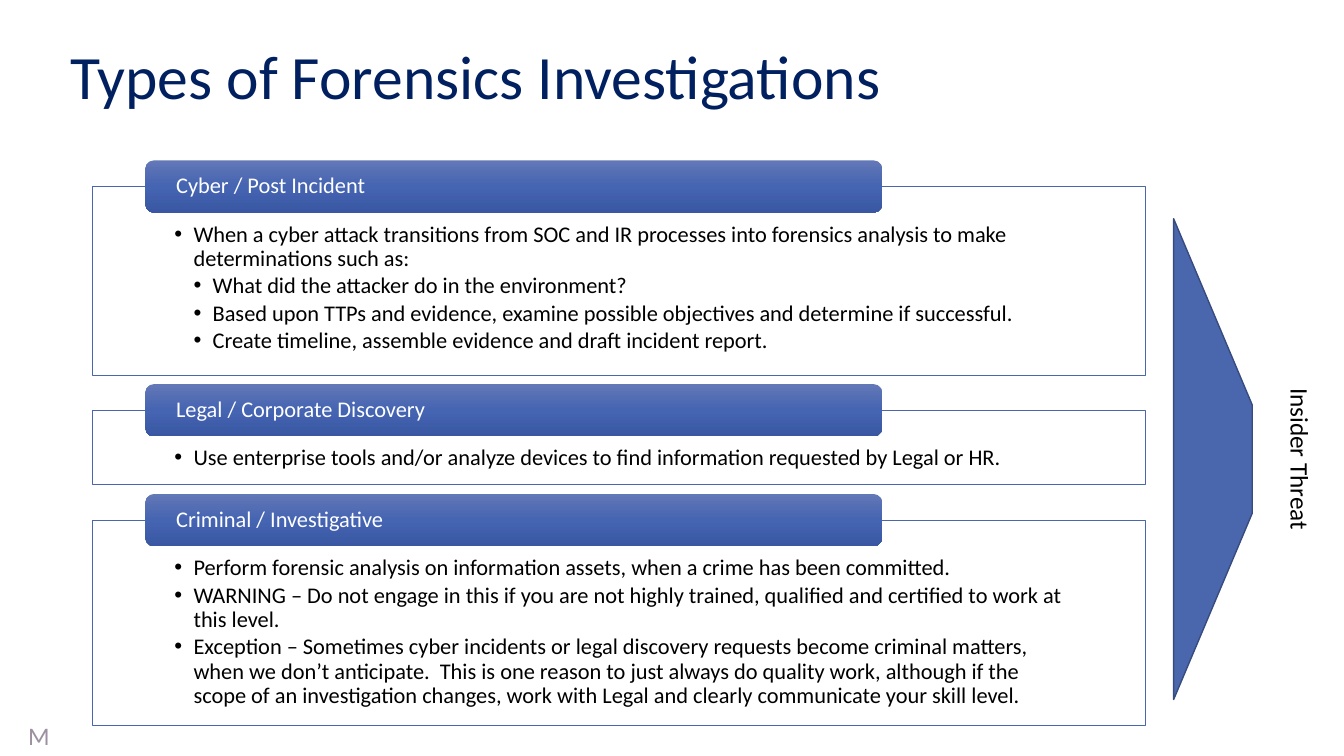
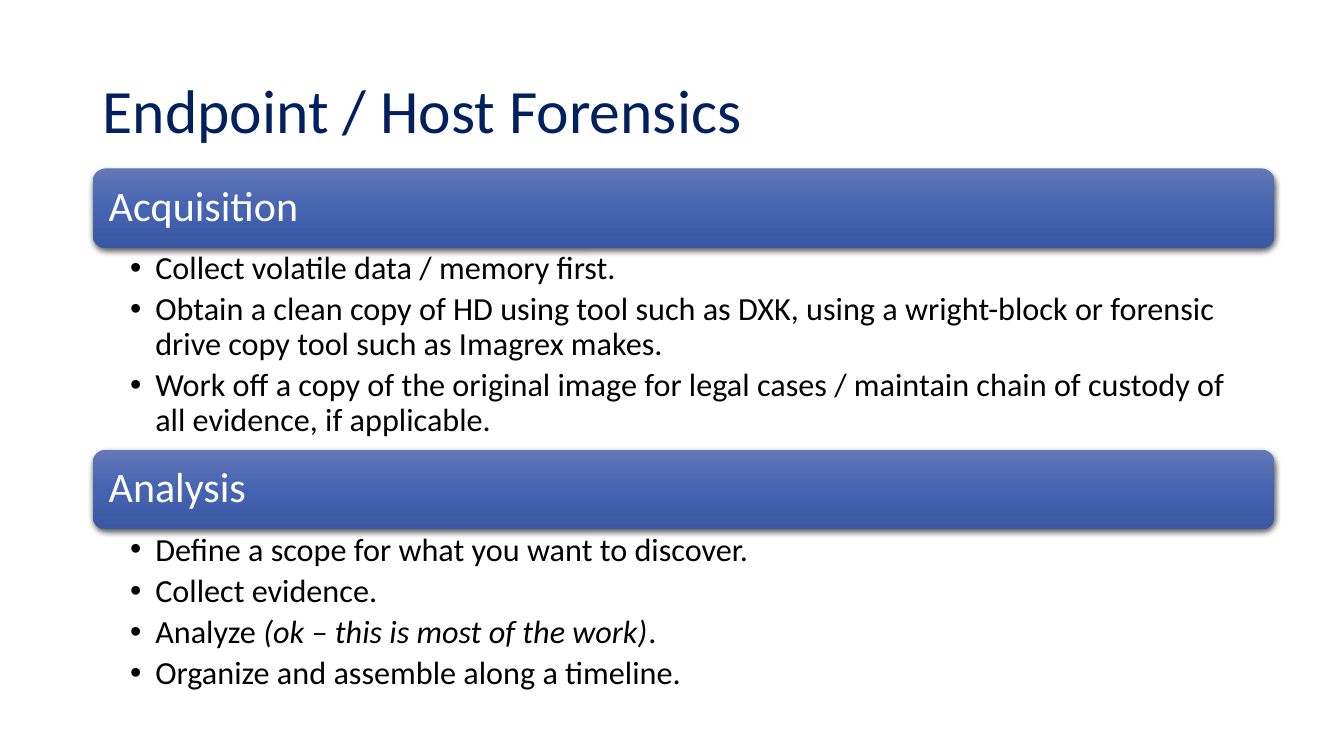
from copy import deepcopy
from dataclasses import dataclass

from lxml import etree
from pptx import Presentation
from pptx.dml.color import RGBColor
from pptx.enum.shapes import MSO_SHAPE
from pptx.enum.text import MSO_ANCHOR, MSO_AUTO_SIZE, PP_ALIGN
from pptx.oxml.ns import qn
from pptx.util import Inches, Pt

RECT, ROUND_RECT = MSO_SHAPE.RECTANGLE, MSO_SHAPE.ROUNDED_RECTANGLE
TRAPEZOID = MSO_SHAPE.TRAPEZOID
TOP, MIDDLE = MSO_ANCHOR.TOP, MSO_ANCHOR.MIDDLE
LEFT, CENTER = PP_ALIGN.LEFT, PP_ALIGN.CENTER
NO_FIT = MSO_AUTO_SIZE.NONE
TITLE_ONLY = 5

# The grid has ten columns and ten rows to the inch
COLUMNS, ROWS = 133.3, 75


def cells(count):
    return Inches(count / 10)


@dataclass(frozen=True)
class Theme:
    font: str = "Calibri"
    title: str = "002060"
    ink: str = "000000"
    paper: str = "FFFFFF"
    accent: str = "4A66AC"
    accent_edge: str = "374B7F"
    muted: str = "9D90A0"
    band: tuple = ((0, "6378B7"), (0.5, "4564B1"), (1, "3957A2"))
    title_size: float = 44
    label_size: float = 18
    panel_size: float = 16
    section_size: float = 30
    section_text_size: float = 23
    line_spacing: float = 0.9


THEME = Theme()


@dataclass(frozen=True)
class Box:
    """A region in grid cells; inner boxes are placed relative to it."""
    x: float
    y: float
    w: float
    h: float

    def inner(self, x, y, w, h):
        return Box(self.x + x, self.y + y, w, h)

    def emu(self):
        return [cells(n) for n in (self.x, self.y, self.w, self.h)]


PAGE = Box(0, 0, COLUMNS, ROWS)


# Text
def style(paragraph, size, color, align=LEFT, spacing=THEME.line_spacing, after=0):
    paragraph.alignment = align
    paragraph.line_spacing = spacing
    paragraph.space_before = Pt(0)
    paragraph.space_after = Pt(size * after)
    paragraph.font.name = THEME.font
    paragraph.font.size = Pt(size)
    paragraph.font.color.rgb = RGBColor.from_string(color)


def set_frame(frame, anchor, insets, wrap=True):
    frame.word_wrap = wrap
    frame.auto_size = NO_FIT
    frame.vertical_anchor = anchor
    (frame.margin_left, frame.margin_top,
     frame.margin_right, frame.margin_bottom) = [cells(n) for n in insets]


def add_bullet(paragraph, level, indent):
    props = paragraph._p.get_or_add_pPr()
    props.set("marL", str(cells(indent * (level + 1))))
    props.set("indent", str(-cells(indent)))
    etree.SubElement(props, qn("a:buFont")).set("typeface", "Arial")
    etree.SubElement(props, qn("a:buChar")).set("char", "•")


def write_bullets(frame, items, size, indent, after):
    """Items are (level, text); text between asterisks is italic."""
    for number, (level, text) in enumerate(items):
        paragraph = frame.add_paragraph() if number else frame.paragraphs[0]
        paragraph.level = level
        add_bullet(paragraph, level, indent)
        style(paragraph, size, THEME.ink, after=after)
        for part, words in enumerate(text.split("*")):
            run = paragraph.add_run()
            run.text = words
            if part % 2:
                run.font.italic = True


def add_label(slide, box, text, color, align=LEFT, wrap=True, rotation=0):
    label = slide.shapes.add_textbox(*box.emu())
    label.rotation = rotation
    set_frame(label.text_frame, TOP, (1, 0.5, 1, 0.5), wrap)
    paragraph = label.text_frame.paragraphs[0]
    paragraph.text = text
    style(paragraph, THEME.label_size, color, align, spacing=1.0)


# Shapes
def add_plain_shape(slide, kind, box, fill, edge, width):
    shape = slide.shapes.add_shape(kind, *box.emu())
    shape.shadow.inherit = False
    shape.fill.solid()
    shape.fill.fore_color.rgb = RGBColor.from_string(fill)
    shape.line.color.rgb = RGBColor.from_string(edge)
    shape.line.width = Pt(width)
    return shape


def add_drop_shadow(shape):
    effects = shape._element.spPr.find(qn("a:effectLst"))
    shadow = etree.SubElement(effects, qn("a:outerShdw"), blurRad=str(Pt(4.5)),
                              dist=str(Pt(1.5)), dir="5400000", rotWithShape="0")
    tint = etree.SubElement(shadow, qn("a:srgbClr"), val=THEME.ink)
    etree.SubElement(tint, qn("a:alpha"), val="63000")


def add_band(slide, box, heading, size, inset, raised=False):
    band = slide.shapes.add_shape(ROUND_RECT, *box.emu())
    band.shadow.inherit = False
    band.line.fill.background()
    band.fill.gradient()
    band.fill.gradient_angle = 270
    stops = band._element.spPr.find(qn("a:gradFill")).find(qn("a:gsLst"))
    stops.append(deepcopy(stops[-1]))
    for stop, (position, color) in zip(band.fill.gradient_stops, THEME.band):
        stop.position = position
        stop.color.rgb = RGBColor.from_string(color)
    if raised:
        add_drop_shadow(band)
    set_frame(band.text_frame, MIDDLE, (inset, 0, inset, 0))
    paragraph = band.text_frame.paragraphs[0]
    paragraph.text = heading
    style(paragraph, size, THEME.paper)


# Regions
def add_titled_slide(deck, box, text):
    slide = deck.slides.add_slide(deck.slide_layouts[TITLE_ONLY])
    title = slide.shapes.title
    title.left, title.top, title.width, title.height = box.emu()
    set_frame(title.text_frame, MIDDLE, (1, 0.5, 1, 0.5))
    paragraph = title.text_frame.paragraphs[0]
    paragraph.text = text
    style(paragraph, THEME.title_size, THEME.title)
    return slide


def add_panels(slide, box, panels):
    """Outlined panels, each with a heading band across its top edge."""
    gap, band_height = 3.5, 5.2
    top = 0
    for heading, height, items in panels:
        area = box.inner(0, top, box.w, height)
        panel = add_plain_shape(slide, RECT, area, THEME.paper, THEME.accent, 0.5)
        set_frame(panel.text_frame, TOP, (8.1, 3.6, 8.1, 1.2))
        write_bullets(panel.text_frame, items, THEME.panel_size, 1.9, 0.15)
        band_box = area.inner(box.w * 0.05, -band_height / 2, box.w * 0.7, band_height)
        add_band(slide, band_box, heading, THEME.panel_size, 2.8)
        top += height + gap


def add_sections(slide, box, sections):
    """Full-width heading bands with bullets below each."""
    band_height = 7.9
    top = 0
    for heading, height, items in sections:
        add_band(slide, box.inner(0, top, box.w, band_height), heading,
                 THEME.section_size, 1.2, raised=True)
        top += band_height
        body = slide.shapes.add_textbox(*box.inner(0, top, box.w, height).emu())
        set_frame(body.text_frame, TOP, (3.7, 0.4, 2.3, 0.4))
        write_bullets(body.text_frame, items, THEME.section_text_size, 2.5, 0.2)
        top += height


def add_threat_marker(slide, box):
    """A wedge pointing right, and a label that reads downwards."""
    wedge_depth, label_width, label_height = 7.8, 40, 4
    middle = box.h / 2
    # Rotated parts are placed by their unrotated frames
    wedge_box = box.inner((wedge_depth - box.h) / 2, middle - wedge_depth / 2,
                          box.h, wedge_depth)
    wedge = add_plain_shape(slide, TRAPEZOID, wedge_box,
                            THEME.accent, THEME.accent_edge, 1)
    wedge.adjustments[0] = 2.37
    wedge.rotation = 90
    label_box = box.inner(box.w - (label_width + label_height) / 2,
                          middle - label_height / 2, label_width, label_height)
    add_label(slide, label_box, "Insider Threat", THEME.ink, CENTER, rotation=90)


# Content
INVESTIGATIONS = (
    ("Cyber / Post Incident", 18.7, (
        (0, "When a cyber attack transitions from SOC and IR processes into "
            "forensics analysis to make determinations such as:"),
        (1, "What did the attacker do in the environment?"),
        (1, "Based upon TTPs and evidence, examine possible objectives and "
            "determine if successful."),
        (1, "Create timeline, assemble evidence and draft incident report."),
    )),
    ("Legal / Corporate Discovery", 7.4, (
        (0, "Use enterprise tools and/or analyze devices to find information "
            "requested by Legal or HR."),
    )),
    ("Criminal / Investigative", 20.4, (
        (0, "Perform forensic analysis on information assets, when a crime has "
            "been committed."),
        (0, "WARNING – Do not engage in this if you are not highly trained, "
            "qualified and certified to work at this level."),
        (0, "Exception – Sometimes cyber incidents or legal discovery requests "
            "become criminal matters, when we don’t anticipate.  This is one "
            "reason to just always do quality work, although if the scope of an "
            "investigation changes, work with Legal and clearly communicate your "
            "skill level."),
    )),
)

HOST_FORENSICS = (
    ("Acquisition", 20, (
        (0, "Collect volatile data / memory first."),
        (0, "Obtain a clean copy of HD using tool such as DXK, using a "
            "wright-block or forensic drive copy tool such as Imagrex makes."),
        (0, "Work off a copy of the original image for legal cases / maintain "
            "chain of custody of all evidence, if applicable."),
    )),
    ("Analysis", 17.3, (
        (0, "Define a scope for what you want to discover."),
        (0, "Collect evidence."),
        (0, "Analyze *(ok – this is most of the work)*."),
        (0, "Organize and assemble along a timeline."),
    )),
)


# Slides
def build_investigations(deck):
    slide = add_titled_slide(deck, PAGE.inner(6, 0.6, 115, 14.5),
                             "Types of Forensics Investigations")
    add_panels(slide, PAGE.inner(9.2, 18.5, 104.4, 53.5), INVESTIGATIONS)
    add_threat_marker(slide, PAGE.inner(116.4, 21.7, 14.6, 47.7))
    add_label(slide, PAGE.inner(1.8, 71, 2.8, 4), "M", THEME.muted, wrap=False)


def build_host_forensics(deck):
    slide = add_titled_slide(deck, PAGE.inner(9.2, 4, 115, 14.5),
                             "Endpoint / Host Forensics")
    add_sections(slide, PAGE.inner(9.2, 16.7, 117.2, 53.1), HOST_FORENSICS)


def main():
    deck = Presentation()
    deck.slide_width, deck.slide_height = cells(COLUMNS), cells(ROWS)
    build_investigations(deck)
    build_host_forensics(deck)
    deck.save("out.pptx")


if __name__ == "__main__":
    main()
